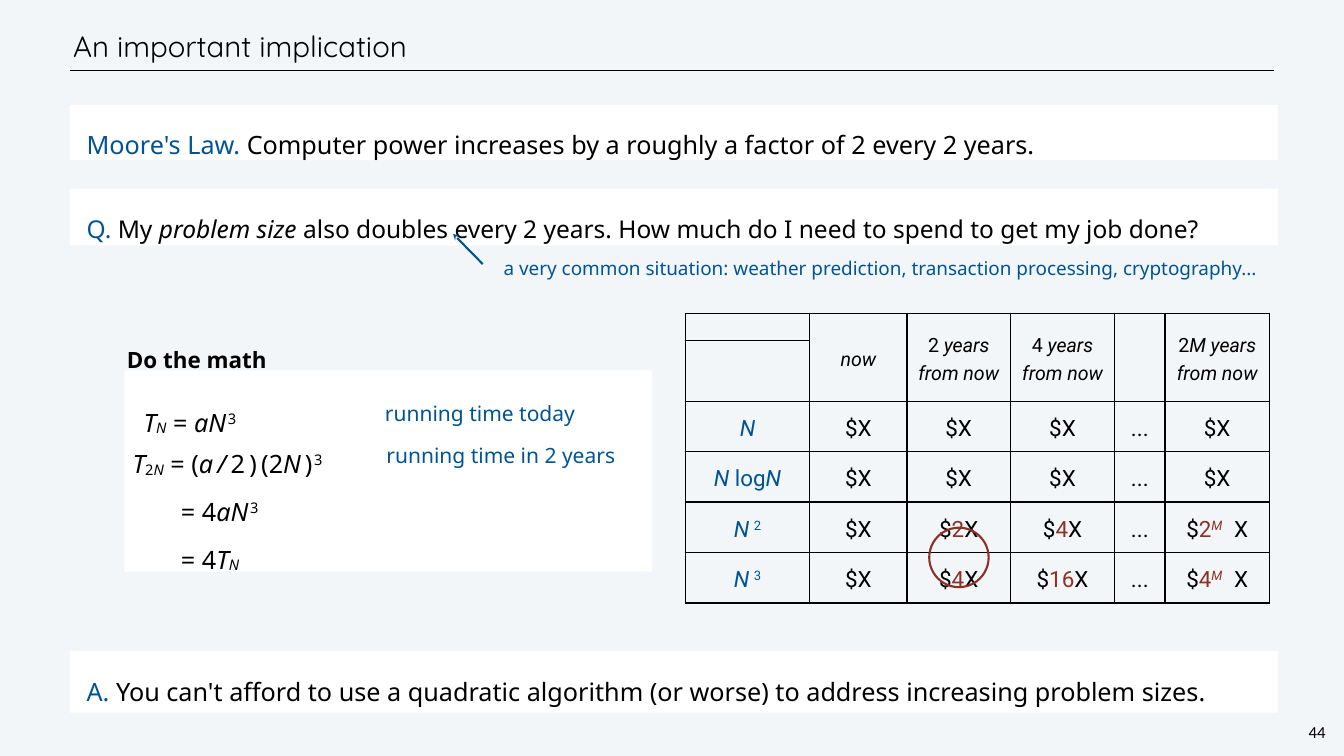
from lxml import etree
from pptx import Presentation, util as u
from pptx.dml.color import RGBColor
from pptx.enum import shapes, text
from pptx.oxml.ns import qn

W, H = 26.67, 15
BLACK, WHITE, BLUE, RED, BG = "000000", "FFFFFF", "005493", "8D3124", "F3F6F9"
COLOURS = {"b": BLUE, "r": RED}
BASELINES = {"_": -6, "^": 32}
LEFT, RIGHT, CENTER = 5.21, 94.79, text.PP_ALIGN.CENTER

# Runs: (text, flags, tracking); flags: i italic, B bold, b blue, r red, _ sub, ^ super.
BANNERS = [
    (86.13, 8.13, 36, 55, [("A. ", "b"), ("You can't afford to use a quadratic algorithm (or worse) to address increasing problem sizes.",)]),
    (13.87, 7.33, 36, 55, [("Moore's Law. ", "b"), ("Computer power increases by a roughly a factor of 2 every 2 years.",)]),
    (25, 7.47, 35, 54, [("Q. ", "b"), ("My ",), ("problem size", "i"),
                        (" also doubles every 2 years. How much do I need to spend to get my job done?",)]),
]
CUBE = [("a", "i"), ("N", "i", 2.5), ("3", "^")]
FORMULAS = [
    (10.46, 52.33, 8.4, [("T", "i"), ("N", "i_"), (" = ",)] + CUBE),
    (9.64, 57.87, 16.46, [("T", "i"), ("2", "_"), ("N", "i_"), (" = (",), ("a/", "i", 6.1), ("2)", "", 6.1),
                          ("(2",), ("N", "i", 5.4), (")", "", 2.5), ("3", "^")]),
    (13.24, 64.13, 6.9, [("= 4",)] + CUBE),
    (13.24, 70.47, 5.51, [("= 4",), ("T", "i"), ("N", "i_")]),
]
REMARKS = [(28.42, 52.6, 14.96, "running time today"), (28.53, 58.13, 18.15, "running time in 2 years")]

COLS = [9.26, 7.24, 7.69, 7.76, 3.75, 7.76]
ROWS = [3.6, 7.67] + [6.67] * 4
HEADERS = [[("now", "i")], [("2",), (" years from now", "i")], [("4",), (" years from now", "i")],
           [], [("2",), ("M years from now", "i")]]
SAME, DOTS = [("$X",)], [("...",)]


def cost(factor):
    return [("$",), (factor, "r"), ("X",)]


def cost_m(factor):
    return [("$",), (factor, "r"), ("M", "ri^", 16.6), ("X",)]


def power(n):
    return [("N", "bi", 6.4), (n, "b^")]


BODY = [
    [[("N", "bi")], SAME, SAME, SAME, DOTS, SAME],
    [[("N", "bi"), (" log", "b"), ("N", "bi")], SAME, SAME, SAME, DOTS, SAME],
    [power("2"), SAME, cost("2"), cost("4"), DOTS, cost_m("2")],
    [power("3"), SAME, cost("4"), cost("16"), DOTS, cost_m("4")],
]


def rgb(value):
    return RGBColor.from_string(value)


def x(share):
    return u.Inches(W * share / 100)


def y(share):
    return u.Inches(H * share / 100)


def box(left, top, width, height):
    return x(left), y(top), x(width), y(height)


def write(tf, runs, size, spacing, font="Noto Sans", align=None):
    p = tf.paragraphs[0]
    p.alignment, p.line_spacing = align, spacing
    for content, flags, tracking in ((*run, "", 0)[:3] if len(run) < 3 else run for run in runs):
        r = p.add_run()
        r.text = content
        colour = next((COLOURS[f] for f in flags if f in COLOURS), BLACK)
        values = {"name": font, "size": u.Pt(size), "italic": "i" in flags, "bold": "B" in flags}
        for key, value in values.items():
            setattr(r.font, key, value)
        r.font.color.rgb = rgb(colour)
        rpr = r.font._element
        for flag, shift in BASELINES.items():
            if flag in flags:
                rpr.set("baseline", str(shift * 1000))
        if tracking:
            rpr.set("spc", str(round(tracking * 100)))


def frame(tf, inset, wrap=True, anchor=text.MSO_ANCHOR.TOP):
    sides = ("margin_left", "margin_top", "margin_right", "margin_bottom")
    values = {side: u.Inches(inset) for side in sides}
    values.update(word_wrap=wrap, vertical_anchor=anchor,
                  auto_size=text.MSO_AUTO_SIZE.NONE if wrap else text.MSO_AUTO_SIZE.SHAPE_TO_FIT_TEXT)
    for key, value in values.items():
        setattr(tf, key, value)


def label(s, place, runs, size, spacing, inset=0.06, wrap=False, anchor=text.MSO_ANCHOR.TOP, **style):
    tf = s.shapes.add_textbox(*box(*place)).text_frame
    frame(tf, inset, wrap, anchor)
    write(tf, runs, size, u.Pt(spacing), **style)


def shape(s, kind, place, fill=None, line=None):
    sp = s.shapes.add_shape(kind, *box(*place))
    sp.shadow.inherit = False
    if fill:
        sp.fill.solid()
        sp.fill.fore_color.rgb = rgb(fill)
    else:
        sp.fill.background()
    if line:
        sp.line.color.rgb, sp.line.width = rgb(line), u.Pt(3)
    else:
        sp.line.fill.background()
    return sp


def connect(s, start, end, colour, width, head=None):
    c = s.shapes.add_connector(shapes.MSO_CONNECTOR.STRAIGHT, x(start[0]), y(start[1]), x(end[0]), y(end[1]))
    c.line.color.rgb, c.line.width = rgb(colour), u.Pt(width)
    if head:
        etree.SubElement(c.line._get_or_add_ln(), qn("a:headEnd"), type=head)
    etree.SubElement(c._element.spPr, qn("a:effectLst"))


def cost_table(s):
    table = s.shapes.add_table(len(ROWS), len(COLS), *box(50.99, 41.47, sum(COLS), sum(ROWS))).table
    table.first_row = table.horz_banding = False
    for column, share in zip(table.columns, COLS):
        column.width = x(share)
    for row, share in zip(table.rows, ROWS):
        row.height = y(share)
    for cell in table.iter_cells():
        pr = cell._tc.get_or_add_tcPr()
        for side in ("lnL", "lnR", "lnT", "lnB"):
            ln = etree.SubElement(pr, qn("a:" + side), w=str(u.Pt(2)))
            fill = etree.SubElement(ln, qn("a:solidFill"))
            etree.SubElement(fill, qn("a:srgbClr"), val=BLACK)
        cell.fill.background()
        cell.vertical_anchor = text.MSO_ANCHOR.MIDDLE
        cell.margin_left = cell.margin_right = cell.margin_top = cell.margin_bottom = u.Inches(0.04)
    for j, runs in enumerate(HEADERS, 1):
        table.cell(0, j).merge(table.cell(1, j))
        write(table.cell(0, j).text_frame, runs, 28, 1.2, "Roboto", CENTER)
    for i, row in enumerate(BODY, 2):
        for j, runs in enumerate(row):
            write(table.cell(i, j).text_frame, runs, 32, u.Pt(44), "Roboto", CENTER)


def main():
    prs = Presentation()
    prs.slide_width, prs.slide_height = u.Inches(W), u.Inches(H)
    s = prs.slides.add_slide(prs.slide_layouts[6])
    s.background.fill.solid()
    s.background.fill.fore_color.rgb = rgb(BG)
    rect = shapes.MSO_SHAPE.RECTANGLE

    connect(s, (LEFT, 9.33), (RIGHT, 9.33), BLACK, 1)
    shape(s, rect, (9.26, 49, 39.26, 26.6), WHITE)
    label(s, (9.22, 44.27, 13.54, 4.27), [("Do the math", "B")], 32, 50, wrap=True)
    label(s, (LEFT, 2.8, 84.81, 6.6), [("An important implication",)], 42, 50, wrap=True,
          anchor=text.MSO_ANCHOR.MIDDLE, font="Quicksand")
    label(s, (97.19, 95.27, 1.61, 3.13), [("44",)], 24, 28, inset=0.04, font="Calibri", align=CENTER)
    for top, height, size, spacing, runs in BANNERS:
        tf = shape(s, rect, (LEFT, top, 89.88, height), WHITE).text_frame
        frame(tf, 0.33)
        write(tf, runs, size, u.Pt(spacing), align=text.PP_ALIGN.LEFT)
    cost_table(s)
    for left, top, width, runs in FORMULAS:
        label(s, (left, top, width, 4.73), runs, 36, 55)
    for left, top, width, remark in REMARKS:
        label(s, (left, top, width, 4), [(remark, "b")], 30, 36)
    label(s, (36, 33.27, 58.94, 3.73),
          [("a very common situation: weather prediction, transaction processing, cryptography...", "b")],
          27, 35, align=CENTER)
    connect(s, (33.71, 30.93), (35.92, 34.93), BLUE, 3, "stealth")
    shape(s, shapes.MSO_SHAPE.OVAL, (69.14, 69.8, 4.42, 7.87), line=RED)
    prs.save("out.pptx")


if __name__ == "__main__":
    main()
